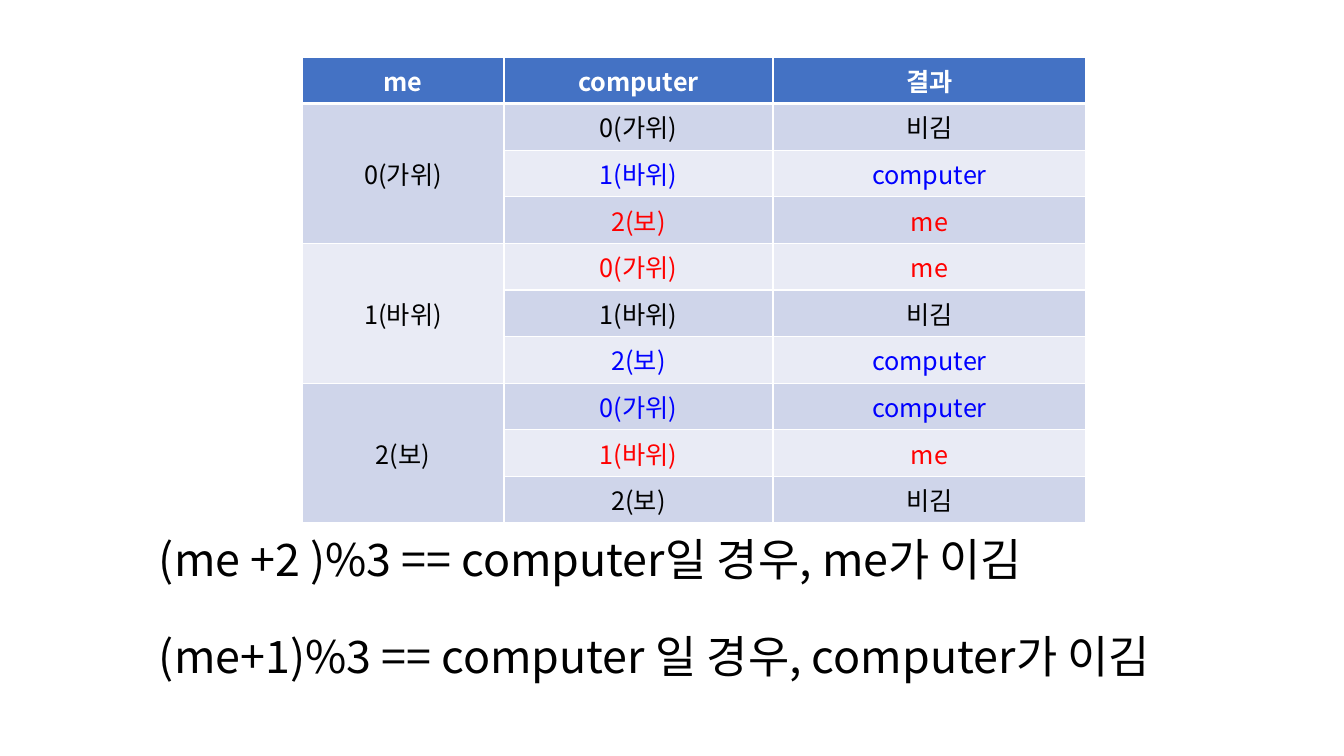
from dataclasses import dataclass

from lxml.etree import SubElement
from pptx import Presentation
from pptx.dml.color import RGBColor as RGB
from pptx.enum.text import MSO_ANCHOR as Anchor, PP_ALIGN as Align
from pptx.oxml.ns import qn
from pptx.util import Emu, Pt


@dataclass(frozen=True)
class Theme:
    font: str = "Noto Sans CJK KR"
    header: str = "4472C4"
    bands: tuple = ("CFD5EA", "E9EBF5")
    white: str = "FFFFFF"
    draw: str = "000000"
    lose: str = "0000FF"
    win: str = "FF0000"
    cell_size: int = 18
    rule_size: int = 32
    rule_gap: int = 31


THEME = Theme()
HANDS = ("0(가위)", "1(바위)", "2(보)")
OUTCOMES = (("비김", THEME.draw), ("computer", THEME.lose), ("me", THEME.win))
RULES = (
    "(me +2 )%3 == computer일 경우, me가 이김",
    "(me+1)%3 == computer 일 경우, computer가 이김",
)


def px(n):
    return Emu(n * 9071)


def style(p, size, color, bold=False):
    for r in p.runs:
        r.font.size = Pt(size)
        r.font.bold = bold
        r.font.name = THEME.font
        r.font.color.rgb = RGB.from_string(color)
        SubElement(r.font._element, qn("a:ea"), typeface=THEME.font)


def add_borders(cell, bottom):
    tc_pr = cell._tc.get_or_add_tcPr()
    widths = {"lnL": 1, "lnR": 1, "lnT": 1, "lnB": bottom}
    for i, (side, width) in enumerate(widths.items()):
        ln = SubElement(tc_pr, qn(f"a:{side}"), w=str(Pt(width)))
        fill = SubElement(ln, qn("a:solidFill"))
        SubElement(fill, qn("a:srgbClr"), val=THEME.white)
        tc_pr.insert(i, ln)


def fill_cell(cell, text, fill, color, header=False):
    cell.fill.solid()
    cell.fill.fore_color.rgb = RGB.from_string(fill)
    cell.vertical_anchor = Anchor.MIDDLE
    cell.text = text
    p = cell.text_frame.paragraphs[0]
    p.alignment = Align.CENTER
    style(p, THEME.cell_size, color, header)
    add_borders(cell, 3 if header else 1)


def add_result_table(s, left, top, col_widths, row_height):
    n = len(HANDS)
    rows = n * n + 1
    table = s.shapes.add_table(rows, len(col_widths), px(left), px(top),
                               px(sum(col_widths)), px(row_height * rows)).table
    for col, width in zip(table.columns, col_widths):
        col.width = px(width)
    for c, text in enumerate(("me", "computer", "결과")):
        fill_cell(table.cell(0, c), text, THEME.header, THEME.white, True)
    for me, my_hand in enumerate(HANDS):
        first = me * n + 1
        table.cell(first, 0).merge(table.cell(first + n - 1, 0))
        for computer, hand in enumerate(HANDS):
            row = first + computer
            band = THEME.bands[(row - 1) % 2]
            result, color = OUTCOMES[(computer - me) % n]
            fill_cell(table.cell(row, 0), "" if computer else my_hand,
                      band, THEME.draw)
            fill_cell(table.cell(row, 1), hand, band, color)
            fill_cell(table.cell(row, 2), result, band, color)


def add_rules(s, left, top, width, height):
    tf = s.shapes.add_textbox(px(left), px(top), px(width), px(height)).text_frame
    tf.word_wrap = False
    tf.text = "\n".join(RULES)
    for i, p in enumerate(tf.paragraphs):
        if i:
            p.space_before = Pt(THEME.rule_gap)
        style(p, THEME.rule_size, THEME.draw)


def main():
    prs = Presentation()
    prs.slide_width, prs.slide_height = px(1344), px(756)
    s = prs.slides.add_slide(prs.slide_layouts[6])
    add_result_table(s, 302, 57, (202, 269, 313), 46)
    add_rules(s, 149, 527, 1065, 173)
    prs.save("out.pptx")


if __name__ == "__main__":
    main()
